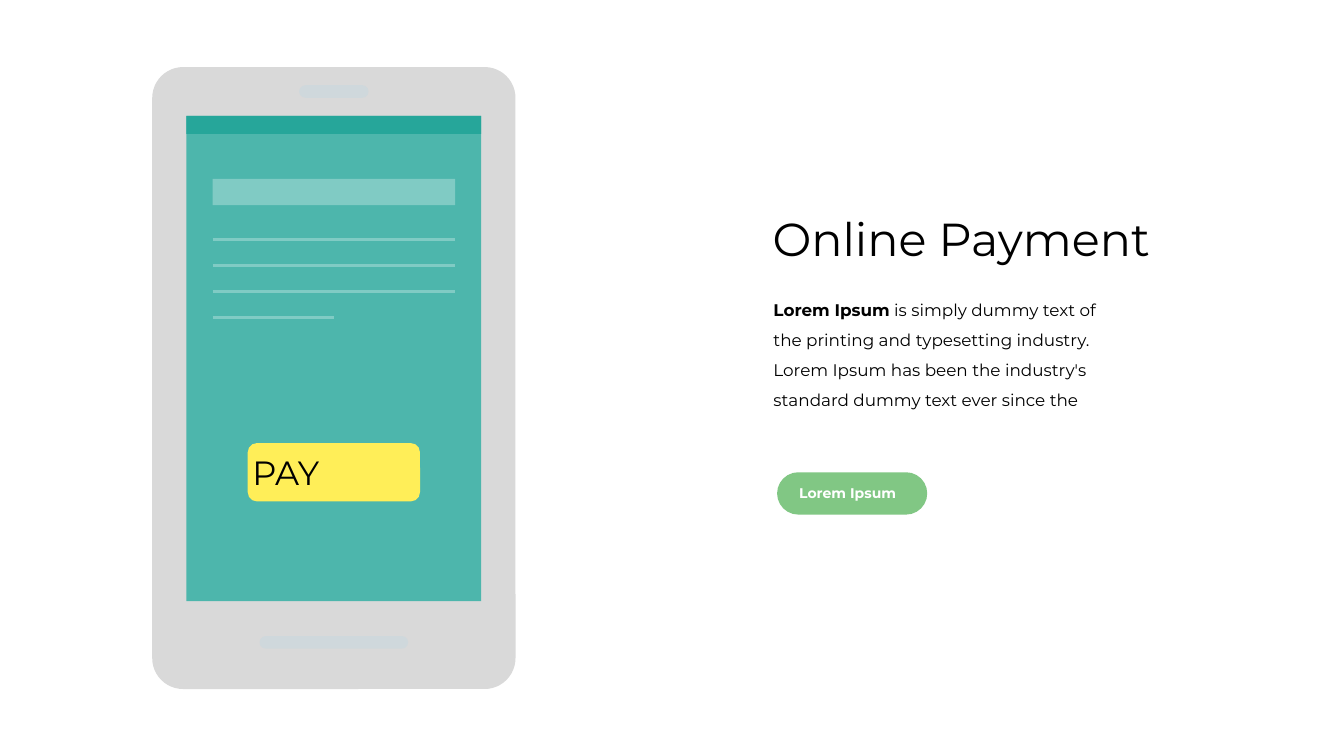
import pptx
import pptx.dml.color
import pptx.enum.shapes
import pptx.enum.text
import pptx.oxml.ns
import pptx.util
from dataclasses import dataclass
from lxml import etree

SLIDE_WIDTH = pptx.util.Inches(26.67)
SLIDE_HEIGHT = pptx.util.Inches(15)
SHAPES = pptx.enum.shapes.MSO_SHAPE
ALIGN = pptx.enum.text.PP_ALIGN
ANCHOR = pptx.enum.text.MSO_ANCHOR


@dataclass(frozen=True)
class Theme:
    font: str = "Montserrat"
    ink: str = "000000"
    paper: str = "FFFFFF"
    case: str = "D9D9D9"
    slot: str = "CFD8DC"
    screen: str = "4DB6AC"
    status_bar: str = "26A69A"
    form: str = "80CBC4"
    pay: str = "FFEE58"
    button: str = "81C784"
    title_size: float = 66
    pay_size: float = 48
    body_size: float = 24
    label_size: float = 20


THEME = Theme()
PHONE_AXIS = 24.84  # middle of the phone, in percent of the slide width
FORM_WIDTH = 18.04


def across(percent):
    return round(SLIDE_WIDTH * percent / 100)


def down(percent):
    return round(SLIDE_HEIGHT * percent / 100)


def rgb(color):
    return pptx.dml.color.RGBColor.from_string(color)


def add_block(slide, left, top, width, height, color, radius=0):
    """Filled rectangle; radius is a share of its shorter side."""
    kind = SHAPES.ROUNDED_RECTANGLE if radius else SHAPES.RECTANGLE
    shape = slide.shapes.add_shape(
        kind, across(left), down(top), across(width), down(height))
    if radius:
        shape.adjustments[0] = radius
    shape.shadow.inherit = False
    shape.fill.solid()
    shape.fill.fore_color.rgb = rgb(color)
    shape.line.fill.background()
    return shape


def add_phone_part(slide, top, width, height, color, radius=0):
    """Block centred on the axis of the phone."""
    return add_block(slide, PHONE_AXIS - width / 2, top, width, height, color, radius)


def add_form_line(slide, top, width, weight):
    left = PHONE_AXIS - FORM_WIDTH / 2
    connector = slide.shapes.add_connector(
        pptx.enum.shapes.MSO_CONNECTOR.STRAIGHT,
        across(left), down(top), across(left + width), down(top))
    connector.line.color.rgb = rgb(THEME.form)
    connector.line.width = pptx.util.Pt(weight)
    properties = connector._element.spPr
    etree.SubElement(properties, pptx.oxml.ns.qn("a:effectLst"))


def write(shape, pieces, size, color, align=ALIGN.LEFT, spacing=None):
    """Fill a shape with one paragraph of (text, bold) pieces."""
    paragraph = shape.text_frame.paragraphs[0]
    paragraph.alignment = align
    if spacing:
        paragraph.line_spacing = spacing
    for text, bold in pieces:
        run = paragraph.add_run()
        run.text = text
        run.font.name = THEME.font
        run.font.size = pptx.util.Pt(size)
        run.font.bold = bold
        run.font.color.rgb = rgb(color)


def add_text(slide, left, top, width, height, wrap=True):
    shape = slide.shapes.add_textbox(
        across(left), down(top), across(width), down(height))
    shape.text_frame.word_wrap = wrap
    return shape


def draw_phone(slide):
    # Case, speaker and home button
    add_phone_part(slide, 8.87, 27.03, 82.27, THEME.case, 0.085)
    add_phone_part(slide, 11.27, 5.17, 1.67, THEME.slot, 0.5)
    add_phone_part(slide, 84.13, 11.06, 1.67, THEME.slot, 0.5)

    # Screen with status bar
    add_phone_part(slide, 15.33, 21.93, 64.2, THEME.screen)
    add_phone_part(slide, 15.33, 21.93, 2.37, THEME.status_bar)

    # Pay button
    pay = add_phone_part(slide, 58.6, 12.82, 7.73, THEME.pay, 0.16)
    pay.text_frame.margin_left = pptx.util.Inches(0.04)
    pay.text_frame.vertical_anchor = ANCHOR.MIDDLE
    write(pay, [("PAY", False)], THEME.pay_size, THEME.ink)

    # Form field and text lines, the last one half as long
    add_phone_part(slide, 23.67, FORM_WIDTH, 3.47, THEME.form)
    for row in range(4):
        share, weight = (0.5, 3.12) if row == 3 else (1, 4.42)
        add_form_line(slide, 31.73 + 3.42 * row, FORM_WIDTH * share, weight)


def draw_message(slide):
    # Title
    title = add_text(slide, 57.11, 27.47, 39.56, 8.07)
    write(title, [("Online Payment", False)], THEME.title_size, THEME.ink)

    # Description
    body = add_text(slide, 57.18, 37.93, 27.03, 16.33)
    write(body, [
        ("Lorem Ipsum", True),
        (" is simply dummy text of the printing and typesetting industry. "
         "Lorem Ipsum has been the industry's standard dummy text ever since the", False),
    ], THEME.body_size, THEME.ink, spacing=1.5)

    # Button with its label
    add_block(slide, 57.82, 62.47, 11.17, 5.6, THEME.button, 0.5)
    label = add_text(slide, 59.02, 63.73, 8.4, 2.93, wrap=False)
    write(label, [("Lorem Ipsum ", True)], THEME.label_size, THEME.paper, ALIGN.CENTER)


def main():
    presentation = pptx.Presentation()
    presentation.slide_width = SLIDE_WIDTH
    presentation.slide_height = SLIDE_HEIGHT
    slide = presentation.slides.add_slide(presentation.slide_layouts[6])
    draw_phone(slide)
    draw_message(slide)
    presentation.save("out.pptx")


if __name__ == "__main__":
    main()
